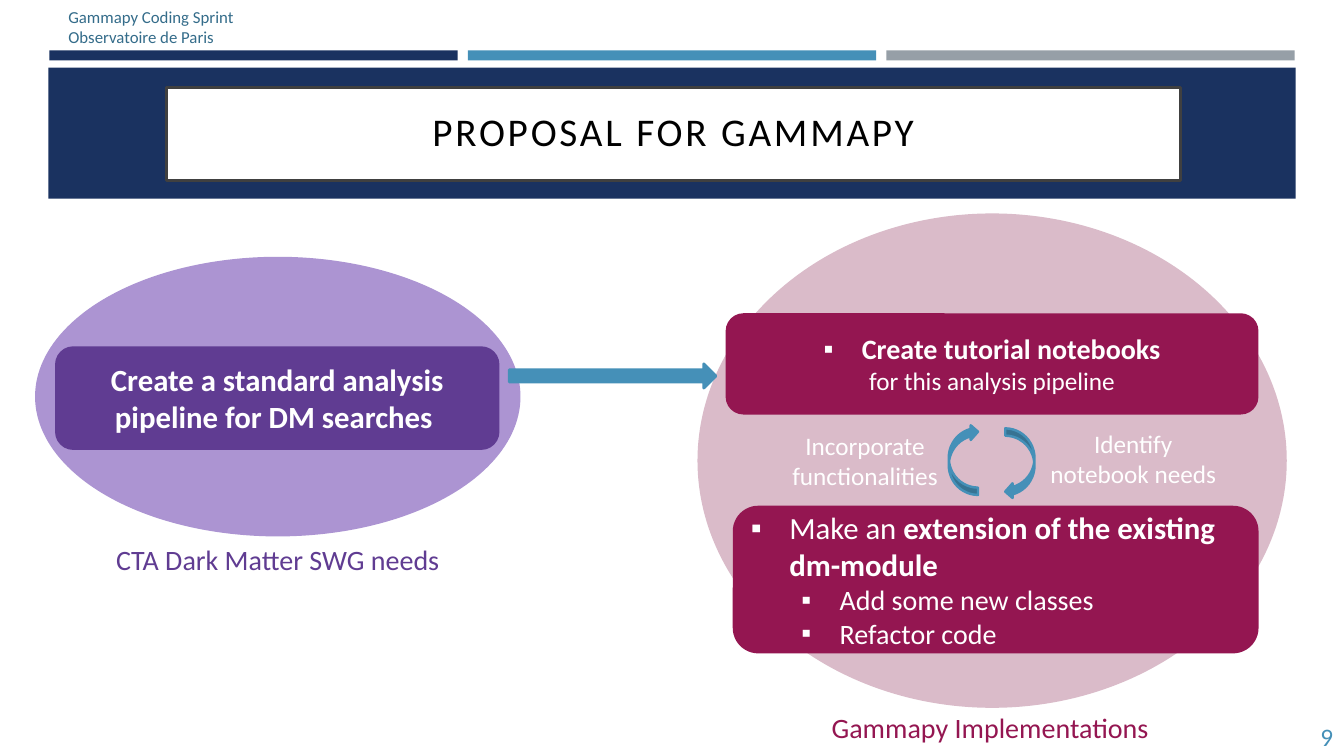
from lxml.etree import SubElement
from pptx import Presentation
from pptx.dml.color import RGBColor
from pptx.enum.shapes import MSO_SHAPE as Shape
from pptx.enum.text import MSO_ANCHOR as Anchor, PP_ALIGN as Align
from pptx.oxml.ns import qn
from pptx.util import Inches, Pt

FONT = "Calibri"
WHITE, NAVY, BLUE, GREY = "FFFFFF", "1A3260", "4590B8", "969FA7"
PURPLE, LILAC, WINE, PINK = "603C92", "AC94D2", "941651", "DABBC9"


def color(value):
    """Turn a hex string into a colour."""
    return RGBColor.from_string(value)


def add_box(slide, kind, place, fill, line=None, width=1.75):
    """Add a filled preset shape, outlined when a line colour is given."""
    shape = slide.shapes.add_shape(kind, *map(Inches, place))
    shape.shadow.inherit = False
    shape.fill.solid()
    shape.fill.fore_color.rgb = color(fill)
    if line:
        shape.line.color.rgb = color(line)
        shape.line.width = Pt(width)
    else:
        shape.line.fill.background()
    shape.text_frame.word_wrap = True
    shape.text_frame.vertical_anchor = Anchor.MIDDLE
    return shape


def add_run(paragraph, text, size, fill, bold=False):
    """Append a formatted run to a paragraph."""
    run = paragraph.add_run()
    run.text = text
    run.font.name = FONT
    run.font.size = Pt(size)
    run.font.bold = bold
    run.font.color.rgb = color(fill)
    return run


def add_paragraph(frame, align=Align.LEFT):
    """Return the empty first paragraph of a frame, or a new one."""
    first = frame.paragraphs[0]
    paragraph = frame.add_paragraph() if first.runs else first
    paragraph.alignment = align
    return paragraph


def add_bullet(paragraph, level=0):
    """Give a paragraph a white square bullet and a hanging indent."""
    paragraph.level = level
    properties = paragraph._p.get_or_add_pPr()
    properties.set("marL", str(Inches(0.38 + 0.5 * level)))
    properties.set("indent", str(-Inches(0.38)))
    bullet_color = SubElement(properties, qn("a:buClr"))
    SubElement(bullet_color, qn("a:srgbClr"), val=WHITE)
    SubElement(properties, qn("a:buFont"), typeface="Arial")
    SubElement(properties, qn("a:buChar"), char="▪")


def add_label(slide, place, lines, size, fill, align=Align.CENTER):
    """Add a wrapping text box with one paragraph per line."""
    frame = slide.shapes.add_textbox(*map(Inches, place)).text_frame
    frame.word_wrap = True
    for line in lines:
        add_run(add_paragraph(frame, align), line, size, fill)
    return frame


def add_header(slide):
    """Add the three bars, the title band and the event label."""
    for index, fill in enumerate((NAVY, BLUE, GREY)):
        add_box(slide, Shape.RECTANGLE, (0.49 + 4.15 * index, 0.5, 4.05, 0.1), fill)
    add_box(slide, Shape.RECTANGLE, (0.48, 0.67, 12.37, 1.3), NAVY)
    title = add_box(slide, Shape.RECTANGLE, (1.65, 0.87, 10.06, 0.92), WHITE, "404040", 2.5)
    paragraph = add_paragraph(title.text_frame, Align.CENTER)
    paragraph.line_spacing = 0.9
    run = add_run(paragraph, "PROPOSAL FOR GAMMAPY", 28, "000000")
    run.font._element.set("spc", "200")
    add_label(slide, (0.58, 0.02, 3.2, 0.5),
              ("Gammapy Coding Sprint", "Observatoire de Paris"), 12, "346C8A", Align.LEFT)
    number = add_label(slide, (12.17, 7.11, 1.15, 0.4), ("9",), 18, BLUE, Align.RIGHT)
    number.vertical_anchor = Anchor.MIDDLE


def add_needs(slide):
    """Add the working group needs on the left."""
    add_box(slide, Shape.OVAL, (0.36, 2.56, 4.79, 2.75), LILAC, LILAC)
    card = add_box(slide, Shape.ROUNDED_RECTANGLE, (0.56, 3.45, 4.38, 1), PURPLE, PURPLE, 2)
    add_run(add_paragraph(card.text_frame, Align.CENTER),
            "Create a standard analysis pipeline for DM searches ", 22, WHITE, True)
    add_label(slide, (0.92, 5.33, 3.67, 0.44), ("CTA Dark Matter SWG needs",), 20, PURPLE)


def add_implementations(slide):
    """Add the implementation cards on the right."""
    add_box(slide, Shape.OVAL, (6.93, 2.13, 5.82, 4.88), PINK, PINK)
    tutorial = add_box(slide, Shape.ROUNDED_RECTANGLE, (7.21, 3.12, 5.26, 0.98), WINE, WINE)
    paragraph = add_paragraph(tutorial.text_frame, Align.CENTER)
    add_bullet(paragraph)
    add_run(paragraph, "Create tutorial notebooks", 20, WHITE, True)
    add_run(add_paragraph(tutorial.text_frame, Align.CENTER),
            "for this analysis pipeline", 18, WHITE)

    extension = add_box(slide, Shape.ROUNDED_RECTANGLE, (7.28, 5.03, 5.19, 1.44), WINE, WINE)
    paragraph = add_paragraph(extension.text_frame)
    add_bullet(paragraph)
    add_run(paragraph, "Make an ", 22, WHITE)
    add_run(paragraph, "extension of the existing dm-module", 22, WHITE, True)
    for task in ("Add some new classes", "Refactor code"):
        paragraph = add_paragraph(extension.text_frame)
        add_bullet(paragraph, 1)
        add_run(paragraph, task, 20, WHITE)
    add_label(slide, (8.15, 7, 3.46, 0.44), ("Gammapy Implementations",), 20, WINE, Align.LEFT)


def add_cycle(slide):
    """Add the arrows and the labels of the feedback cycle."""
    add_box(slide, Shape.RIGHT_ARROW, (5.05, 3.61, 2.05, 0.24), BLUE, BLUE, 2)
    for left, top, rotation in ((9.97, 4.25, 0), (9.41, 4.21, 180)):
        arrow = add_box(slide, Shape.CURVED_LEFT_ARROW, (left, top, 0.29, 0.7), BLUE, BLUE)
        arrow.rotation = rotation
    add_label(slide, (10.25, 4.2, 1.98, 0.71), ("Identify notebook needs",), 18, WHITE)
    add_label(slide, (7.73, 4.22, 1.7, 0.71), ("Incorporate functionalities",), 18, WHITE)


def main():
    """Build and save the slide."""
    presentation = Presentation()
    presentation.slide_width = Inches(13.33)
    presentation.slide_height = Inches(7.5)
    slide = presentation.slides.add_slide(presentation.slide_layouts[6])
    add_header(slide)
    add_needs(slide)
    add_implementations(slide)
    add_cycle(slide)
    presentation.save("out.pptx")


if __name__ == "__main__":
    main()
